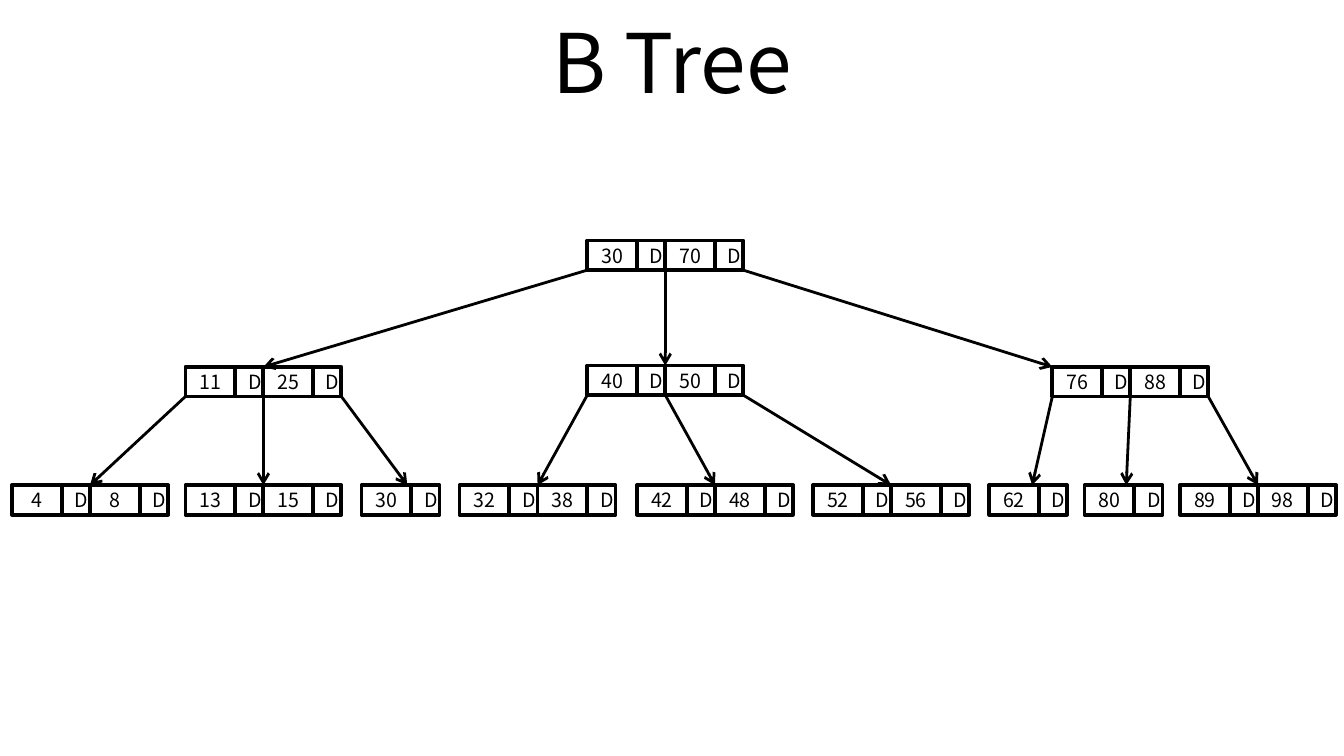
import pptx
import pptx.util
import pptx.dml.color
import pptx.enum.shapes
import pptx.enum.text
import pptx.oxml
from pptx.util import Inches

FONT = "Noto Sans CJK KR"
BLACK, WHITE = "000000", "FFFFFF"
KEY_WIDTH, DATA_WIDTH, CELL_HEIGHT = 0.37, 0.21, 0.22
ENTRY_WIDTH = KEY_WIDTH + DATA_WIDTH

# Content: node name -> (left, top, keys)
TITLE = "B Tree"
LEAF_TOP = 3.61
NODES = {
    "leaf 1": (0.09, LEAF_TOP, [4, 8]),
    "leaf 2": (1.38, LEAF_TOP, [13, 15]),
    "leaf 3": (2.69, LEAF_TOP, [30]),
    "leaf 4": (3.42, LEAF_TOP, [32, 38]),
    "leaf 5": (4.74, LEAF_TOP, [42, 48]),
    "leaf 6": (6.05, LEAF_TOP, [52, 56]),
    "leaf 7": (7.36, LEAF_TOP, [62]),
    "leaf 8": (8.07, LEAF_TOP, [80]),
    "leaf 9": (8.78, LEAF_TOP, [89, 98]),
    "inner 1": (1.38, 2.73, [11, 25]),
    "inner 2": (4.37, 2.72, [40, 50]),
    "inner 3": (7.83, 2.73, [76, 88]),
    "root": (4.37, 1.79, [30, 70]),
}

# Parent -> children, each with the arrowhead's distance from the child's left edge
CHILDREN = {
    "root": [("inner 1", ENTRY_WIDTH), ("inner 2", ENTRY_WIDTH), ("inner 3", 0)],
    "inner 1": [("leaf 1", ENTRY_WIDTH), ("leaf 2", ENTRY_WIDTH), ("leaf 3", 0.34)],
    "inner 2": [("leaf 4", ENTRY_WIDTH), ("leaf 5", ENTRY_WIDTH), ("leaf 6", ENTRY_WIDTH)],
    "inner 3": [("leaf 7", 0.32), ("leaf 8", 0.31), ("leaf 9", ENTRY_WIDTH)],
}


def color(hex_value):
    return pptx.dml.color.RGBColor.from_string(hex_value)


def format_text(paragraph, size):
    paragraph.alignment = pptx.enum.text.PP_ALIGN.CENTER
    paragraph.font.name = FONT
    paragraph.font.size = pptx.util.Pt(size)
    paragraph.font.color.rgb = color(BLACK)


def add_cell(group, left, top, width, text, left_inset=0):
    cell = group.shapes.add_shape(
        pptx.enum.shapes.MSO_SHAPE.ROUNDED_RECTANGLE,
        Inches(left), Inches(top), Inches(width), Inches(CELL_HEIGHT))
    cell.adjustments[0] = 0
    cell.shadow.inherit = False
    cell.fill.solid()
    cell.fill.fore_color.rgb = color(WHITE)
    cell.line.color.rgb = color(BLACK)
    cell.line.width = pptx.util.Pt(2)
    frame = cell.text_frame
    frame.margin_left = Inches(left_inset)
    frame.margin_right = frame.margin_top = frame.margin_bottom = 0
    frame.vertical_anchor = pptx.enum.text.MSO_ANCHOR.MIDDLE
    frame.text = text
    format_text(frame.paragraphs[0], 10.5)


def add_arrow(slide, start, end):
    arrow = slide.shapes.add_connector(
        pptx.enum.shapes.MSO_CONNECTOR.STRAIGHT,
        *[Inches(value) for value in (*start, *end)])
    arrow.line.color.rgb = color(BLACK)
    arrow.line.width = pptx.util.Pt(1.5)
    namespace = pptx.oxml.ns.nsdecls("a")
    line = arrow.line._get_or_add_ln()
    line.append(pptx.oxml.parse_xml(f'<a:tailEnd {namespace} type="arrow"/>'))
    arrow._element.spPr.append(pptx.oxml.parse_xml(f"<a:effectLst {namespace}/>"))


def main():
    # A 16:9 slide
    presentation = pptx.Presentation()
    presentation.slide_width = Inches(10)
    presentation.slide_height = Inches(10 * 9 / 16)
    slide = presentation.slides.add_slide(presentation.slide_layouts[5])

    # Title
    title = slide.shapes.title
    title.left, title.top = Inches(0.5), Inches(-0.02)
    title.width, title.height = Inches(9), Inches(0.94)
    title.text_frame.text = TITLE
    title.text_frame.vertical_anchor = pptx.enum.text.MSO_ANCHOR.MIDDLE
    format_text(title.text_frame.paragraphs[0], 44)

    # Nodes: each entry is a key cell followed by its data cell
    for left, top, keys in NODES.values():
        for index, key in enumerate(keys):
            entry = slide.shapes.add_group_shape()
            key_left = left + index * ENTRY_WIDTH
            add_cell(entry, key_left, top, KEY_WIDTH, str(key))
            add_cell(entry, key_left + KEY_WIDTH, top, DATA_WIDTH, "D", 0.08)

    # Arrows leave a parent before, between and after its entries
    for parent, children in CHILDREN.items():
        left, top, _ = NODES[parent]
        for index, (child, offset) in enumerate(children):
            child_left, child_top, _ = NODES[child]
            add_arrow(slide, (left + index * ENTRY_WIDTH, top + CELL_HEIGHT),
                      (child_left + offset, child_top))

    presentation.save("out.pptx")


if __name__ == "__main__":
    main()
